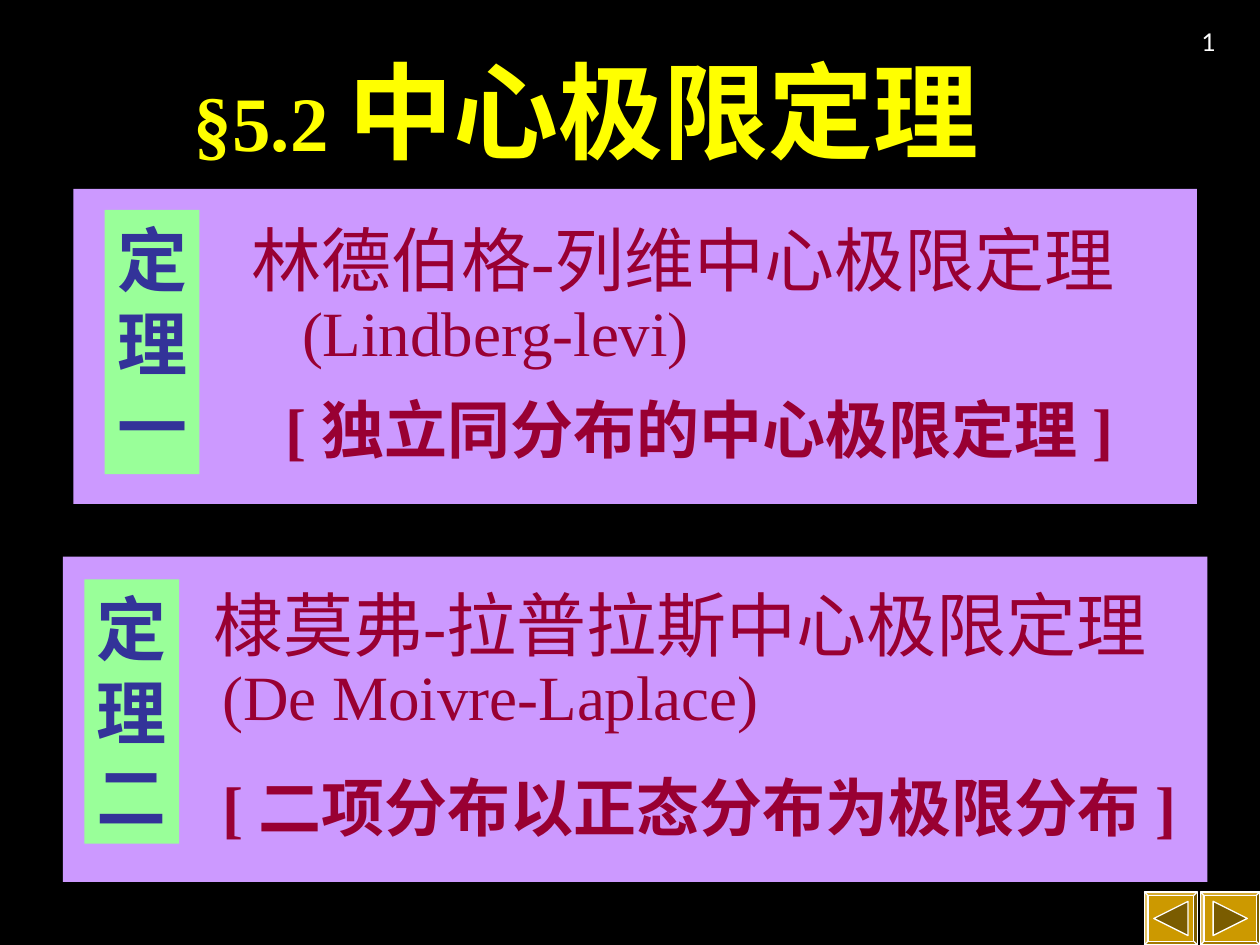
from pptx import Presentation
from pptx.dml.color import RGBColor
from pptx.enum.shapes import MSO_SHAPE as Shape
from pptx.enum.text import MSO_ANCHOR as Anchor, MSO_AUTO_SIZE as AutoSize, PP_ALIGN as Align
from pptx.util import Cm, Pt


def color(value):
    return RGBColor.from_string(value)


def write(shape, text, sizes=(36,), fill="990033", bold=False, font="Times New Roman",
          align=Align.LEFT, anchor=Anchor.TOP, wrap=True):
    frame = shape.text_frame
    frame.word_wrap = wrap
    frame.auto_size = AutoSize.NONE if wrap else AutoSize.SHAPE_TO_FIT_TEXT
    frame.vertical_anchor = anchor
    for number, line in enumerate(text.split("\n")):
        paragraph = frame.add_paragraph() if number else frame.paragraphs[0]
        paragraph.alignment = align
        for part, size in zip(line.split("|"), sizes):
            run = paragraph.add_run()
            run.text = part
            run.font.size = Pt(size)
            run.font.name = font
            run.font.bold = bold
            run.font.color.rgb = color(fill)


presentation = Presentation()
presentation.slide_width = Cm(25.4)
presentation.slide_height = Cm(19.05)
slide = presentation.slides.add_slide(presentation.slide_layouts[6])
slide.background.fill.solid()
slide.background.fill.fore_color.rgb = color("000000")
shapes = slide.shapes

arrow_size = 0.69
for left, width, rotation in ((23.07, 1.07, -90), (24.2, 1.2, 90)):
    button = shapes.add_shape(Shape.BEVEL, Cm(left), Cm(17.98), Cm(width), Cm(1.07))
    button.adjustments[0] = 0.07
    arrow = shapes.add_shape(Shape.ISOSCELES_TRIANGLE, Cm(left + (width - arrow_size) / 2),
                             Cm(17.98 + (1.07 - arrow_size) / 2), Cm(arrow_size), Cm(arrow_size))
    arrow.rotation = rotation
    for part, fill in ((button, "CC9900"), (arrow, "7A5C00")):
        part.shadow.inherit = False
        part.fill.solid()
        part.fill.fore_color.rgb = color(fill)
        part.line.color.rgb = color("FFFFFF")
        part.line.width = Pt(0.75)

title = shapes.add_textbox(Cm(3.66), Cm(0.81), Cm(18.77), Cm(2.79))
write(title, "§5.2 |中心极限定理", sizes=(44, 60), fill="FFFF00", bold=True)

theorems = [
    ((1.48, 3.81, 22.65, 6.35), (2.11, 4.23), "定\n理\n一", [
        ("林德伯格-列维中心极限定理", (4.83, 4.24, 18.6, 1.96), 40, False, False),
        ("(Lindberg-levi)", (5.84, 5.8, 8.35, 1.78), 36, False, False),
        ("[ 独立同分布的中心极限定理 ]", (5.5, 7.75, 17.83, 1.78), 36, True, True),
    ]),
    ((1.27, 11.22, 23.07, 6.56), (1.7, 11.68), "定\n理\n二", [
        ("棣莫弗-拉普拉斯中心极限定理", (4.06, 11.6, 20.1, 1.96), 40, False, False),
        ("(De Moivre-Laplace)", (4.23, 13.13, 12.7, 1.78), 36, False, True),
        ("[ 二项分布以正态分布为极限分布 ]", (4.23, 15.37, 20.96, 1.78), 36, True, True),
    ]),
]
for panel_box, label_corner, label_text, lines in theorems:
    panel = shapes.add_shape(Shape.RECTANGLE, *map(Cm, panel_box))
    label = shapes.add_shape(Shape.RECTANGLE, *map(Cm, (*label_corner, 1.91, 5.33)))
    for rectangle, fill in ((panel, "CC99FF"), (label, "99FF99")):
        rectangle.shadow.inherit = False
        rectangle.fill.solid()
        rectangle.fill.fore_color.rgb = color(fill)
        rectangle.line.fill.background()
    write(label, label_text, sizes=(40,), fill="333399", bold=True, wrap=False)
    for text, box, size, bold, wrap in lines:
        line_box = shapes.add_textbox(*map(Cm, box))
        write(line_box, text, sizes=(size,), bold=bold, wrap=wrap)

page_number = shapes.add_textbox(Cm(19.47), Cm(0), Cm(5.29), Cm(1.27))
write(page_number, "1", sizes=(14,), fill="FFFFFF", font="Lato",
      align=Align.RIGHT, anchor=Anchor.BOTTOM)

presentation.save("out.pptx")
